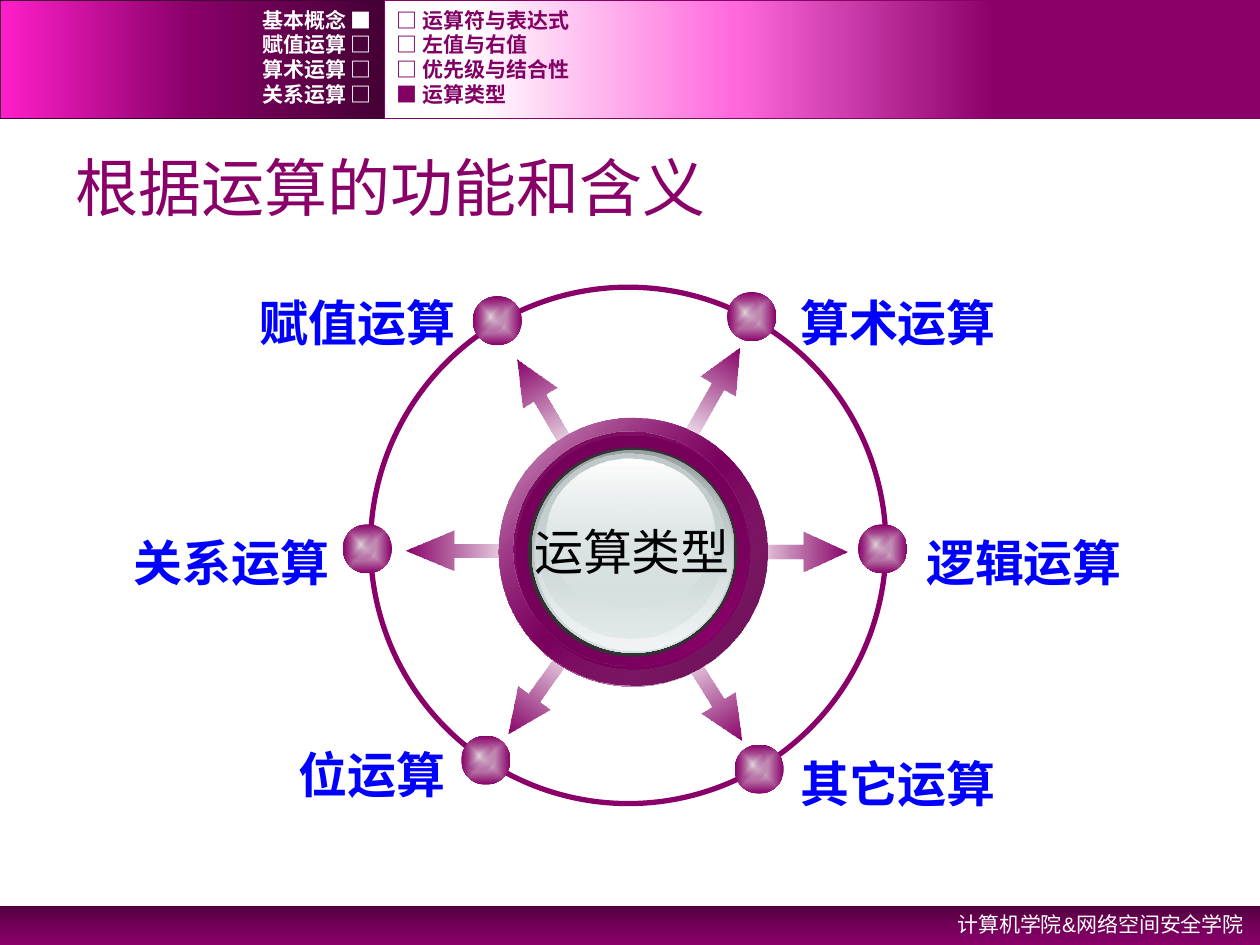
import pptx
import pptx.dml.color
import pptx.enum.shapes
import pptx.enum.text
import pptx.oxml
import pptx.oxml.ns
import pptx.util
from lxml import etree

Cm = pptx.util.Cm
Pt = pptx.util.Pt
RGB = pptx.dml.color.RGBColor.from_string
qn = pptx.oxml.ns.qn
MSO = pptx.enum.shapes.MSO_SHAPE
ALIGN = pptx.enum.text.PP_ALIGN
ANCHOR = pptx.enum.text.MSO_ANCHOR
AUTO = pptx.enum.text.MSO_AUTO_SIZE

C = {
    "plum": "880068", "plum_arrow": "810063", "plum_text": "820064",
    "plum_edge": "440034", "plum_foot": "51003E", "plum_foot_mid": "730058",
    "plum_rim": "61004A", "plum_bowl": "680050", "plum_bowl_top": "700055",
    "magenta": "FF1FCA", "pink": "FF69DC", "shine": "E0D5DB",
    "white": "FFFFFF", "black": "000000", "blue": "0000FF", "dark": "333333",
    "steel": "99A1A2", "mist": "D6E1E2", "pale": "F2F5F5", "silver": "C1CBCC",
}


def add_filled(shapes, kind, box, stops=None, angle=None, line=None):
    """Stops are (position %, colour[, opacity %]); no angle gives a centred gradient."""
    s = shapes.add_shape(kind, *map(Cm, box))
    s.shadow.inherit = False
    if line:
        s.line.color.rgb, s.line.width = RGB(C[line[0]]), Pt(line[1])
    else:
        s.line.fill.background()
    if stops is None:
        s.fill.background()
    elif isinstance(stops, str):
        s.fill.solid()
        s.fill.fore_color.rgb = RGB(C[stops])
    else:
        s.fill.gradient()
        grad = s.element.spPr.find(qn("a:gradFill"))
        grad.set("rotWithShape", "1")
        for child in list(grad):
            grad.remove(child)
        gs_list = etree.SubElement(grad, qn("a:gsLst"))
        for pos, colour, *opacity in stops:
            gs = etree.SubElement(gs_list, qn("a:gs"), pos=str(pos * 1000))
            clr = etree.SubElement(gs, qn("a:srgbClr"), val=C[colour])
            for value in opacity:
                etree.SubElement(clr, qn("a:alpha"), val=str(value * 1000))
        if angle is None:
            centre = etree.SubElement(grad, qn("a:path"), {"path": "shape"})
            etree.SubElement(centre, qn("a:fillToRect"), dict.fromkeys("ltrb", "50000"))
        else:
            etree.SubElement(grad, qn("a:lin"), ang=str(angle * 60000), scaled="0")
    return s


def add_text(box, text, colour, align=ALIGN.LEFT, frame=None, **font):
    s = sp.add_textbox(*map(Cm, box))
    tf = s.text_frame
    for name, value in {"word_wrap": True, **(frame or {})}.items():
        setattr(tf, name, value)
    p = tf.paragraphs[0]
    p.alignment = align
    r = p.add_run()
    r.text = text
    for name, value in {"name": "Arial", **font}.items():
        setattr(r.font, name, value)
    r.font.color.rgb = RGB(C[colour])
    etree.SubElement(r.font._element, qn("a:ea"), typeface="Noto Sans CJK SC")


prs = pptx.Presentation()
prs.slide_width, prs.slide_height = Cm(25.4), Cm(19.05)
sp = prs.slides.add_slide(prs.slide_layouts[6]).shapes

# Header and footer bands
add_filled(sp, MSO.RECTANGLE, (0, 18.26, 25.4, 0.79),
           [(0, "plum_foot"), (50, "plum_foot_mid"), (100, "plum")], 90)
add_filled(sp, MSO.RECTANGLE, (0, 0, 7.75, 2.39),
           [(0, "plum_edge"), (50, "plum"), (100, "magenta")], 180, ("plum_edge", 1))
add_filled(sp, MSO.RECTANGLE, (7.75, 0, 17.65, 2.39),
           [(30, "plum"), (60, "pink"), (90, "white")], 180, ("plum", 1))
GROW = {"auto_size": AUTO.SHAPE_TO_FIT_TEXT}
add_text((16.31, 18.26, 9.02, 0.76), "计算机学院&网络空间安全学院", "white",
         ALIGN.RIGHT, GROW, size=Pt(12))

# Arrows out of the dial
for x, y, w, rotation, head in [
    (13.26, 7.57, 2.21, 299.6, 1.11), (13.26, 13.59, 2.21, 57.8, 1.11),
    (9.88, 7.8, 2.21, 239.5, 1.11), (9.78, 13.49, 2.21, 125.6, 1.11),
    (14.88, 10.72, 2.21, 0, 1.11), (8.18, 10.69, 2.39, 180, 1.21),
]:
    s = add_filled(sp, MSO.RIGHT_ARROW, (x, y, w, 0.81),
                   [(0, "plum_arrow", 0), (100, "plum")], 0)
    s.rotation = rotation
    s.adjustments[0], s.adjustments[1] = 0.352, head

# Ring with six balls
add_filled(sp, MSO.OVAL, (7.47, 5.79, 10.39, 10.41), line=("plum", 3))
for x, y in [(9.53, 5.97), (6.91, 10.57), (9.3, 14.83),
             (14.66, 5.89), (17.3, 10.57), (14.81, 15.01)]:
    ball = sp.add_group_shape().shapes
    add_filled(ball, MSO.OVAL, (x, y, 0.99, 0.99), [(0, "shine"), (100, "plum")])
    add_filled(ball, MSO.OVAL, (x + 0.05, y + 0.09, 0.61, 0.64),
               [(0, "shine"), (100, "plum", 0)])

# Dial, from rim to glass
for box, stops, angle in [
    ((10.06, 8.43, 5.41, 5.41), [(0, "white"), (50, "plum"), (100, "white")], 45),
    ((10.06, 8.41, 5.41, 5.41), [(0, "plum", 32), (100, "plum_rim")], 45),
    ((10.41, 8.79, 4.7, 4.7), [(0, "plum_bowl"), (50, "plum"), (100, "plum_bowl")], 315),
    ((10.36, 8.71, 4.7, 4.7), [(0, "plum_bowl_top"), (100, "plum", 0)], 45),
    ((10.64, 9.02, 4.22, 4.22), "dark", None),
    ((10.72, 9.07, 4.09, 4.09), [(0, "steel"), (100, "mist")], 90),
    ((10.77, 9.12, 3.99, 3.99), [(0, "mist", 0), (100, "pale")], 90),
    ((10.82, 9.14, 3.78, 3.73), [(0, "silver"), (100, "mist", 48)], 90),
    ((11.02, 9.25, 3.38, 3.02), [(0, "white"), (100, "mist", 38)], 90),
]:
    add_filled(sp, MSO.OVAL, box, stops, angle)

# Labels
NO_WRAP = {**GROW, "word_wrap": False}
add_text((10.49, 10.39, 4.5, 1.45), "运算类型", "black", ALIGN.CENTER, NO_WRAP,
         name="Noto Sans CJK SC", size=Pt(28))
for text, x, y, w, align in [
    ("算术运算", 15.88, 5.77, 4.5, ALIGN.LEFT),
    ("赋值运算", 4.93, 5.77, 4.5, ALIGN.RIGHT),
    ("逻辑运算", 18.42, 10.62, 4.5, ALIGN.LEFT),
    ("其它运算", 15.88, 15.06, 4.5, ALIGN.LEFT),
    ("关系运算", 2.39, 10.62, 4.5, ALIGN.RIGHT),
    ("位运算", 5.72, 14.88, 3.51, ALIGN.RIGHT),
]:
    add_text((x, y, w, 1.45), text, "blue", align, NO_WRAP, size=Pt(28), bold=True)

# Title and header navigation
MIDDLE = {"vertical_anchor": ANCHOR.MIDDLE}
add_text((1.27, 2.77, 22.86, 1.98), "根据运算的功能和含义", "plum", frame=MIDDLE, size=Pt(36))
for x, w, colour, align, lines in [
    (0, 7.75, "white", ALIGN.RIGHT,
     ["基本概念 ■", "赋值运算 □", "算术运算 □", "关系运算 □"]),
    (7.75, 15.29, "plum_text", ALIGN.LEFT,
     ["□ 运算符与表达式", "□ 左值与右值", "□ 优先级与结合性", "■ 运算类型"]),
]:
    for i, text in enumerate(lines):
        add_text((x, 0.15 + 0.5 * i, w, 0.5), text, colour, align, MIDDLE,
                 name="Courier New", size=Pt(12), bold=True)

prs.save("out.pptx")
